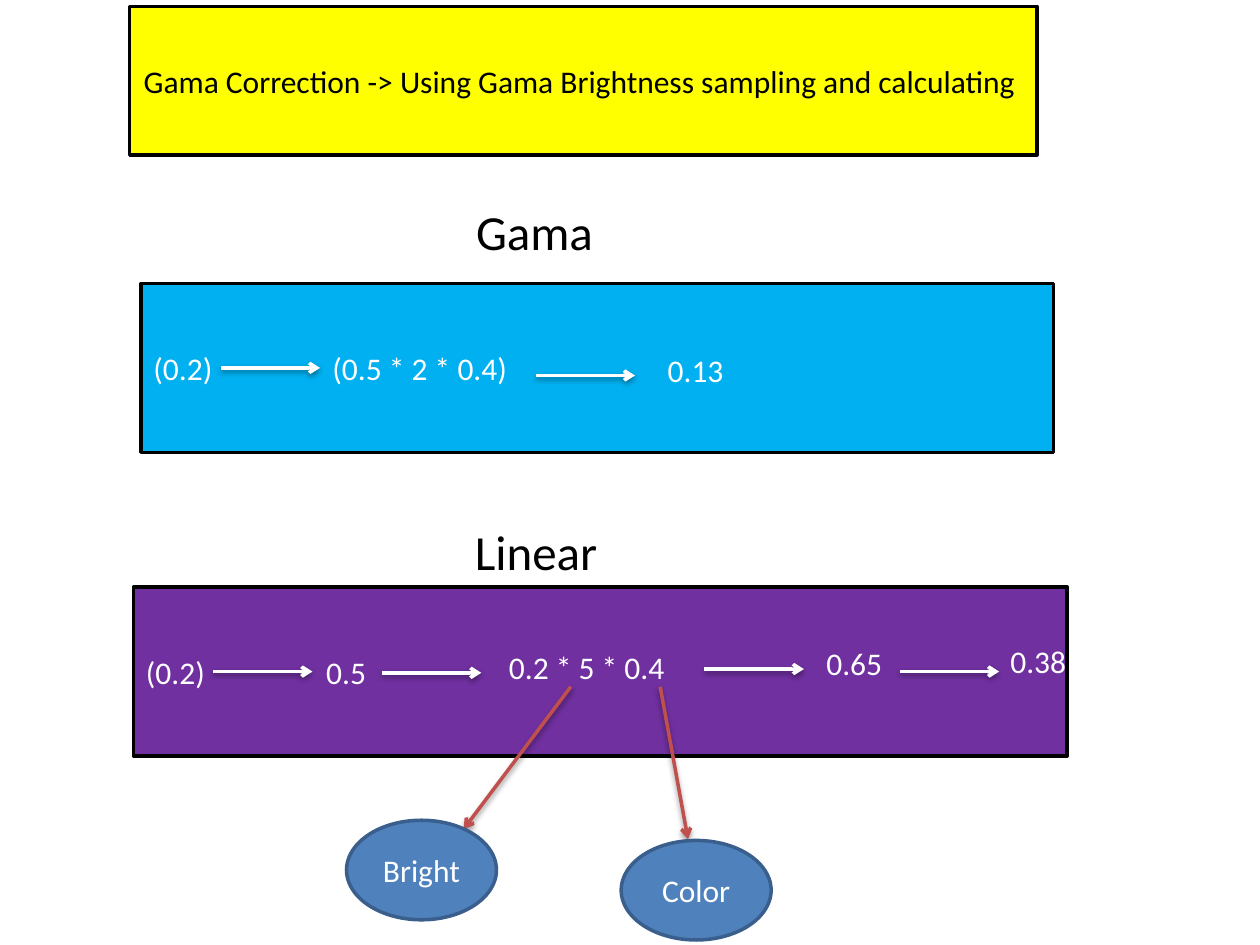
from lxml import etree
from pptx import Presentation
from pptx.dml.color import RGBColor
from pptx.enum.shapes import MSO_CONNECTOR, MSO_SHAPE
from pptx.enum.text import MSO_ANCHOR, MSO_AUTO_SIZE, PP_ALIGN
from pptx.oxml.ns import qn
from pptx.util import Inches, Pt

BLACK, WHITE = "000000", "FFFFFF"


def rgb(value):
    """Return the colour for a hex string."""
    return RGBColor.from_string(value)


def write(sp, text, size=18, color=WHITE, align=PP_ALIGN.LEFT):
    """Put one formatted line of text in a shape."""
    p = sp.text_frame.paragraphs[0]
    p.text = text
    p.alignment = align
    font = p.runs[0].font
    font.name, font.size = "Calibri", Pt(size)
    font.color.rgb = rgb(color)


def add_box(s, kind, box, fill, line):
    """Add a filled and outlined shape."""
    sp = s.shapes.add_shape(kind, *map(Inches, box))
    sp.shadow.inherit = False
    sp.fill.solid()
    sp.fill.fore_color.rgb = rgb(fill)
    sp.line.color.rgb = rgb(line)
    sp.line.width = Pt(2)
    sp.text_frame.vertical_anchor = MSO_ANCHOR.MIDDLE
    return sp


def fit_line(sp):
    """Let a shape hold a single unwrapped line from its top."""
    tf = sp.text_frame
    tf.word_wrap = False
    tf.auto_size = MSO_AUTO_SIZE.SHAPE_TO_FIT_TEXT
    tf.vertical_anchor = MSO_ANCHOR.TOP


def add_label(s, box, text, size=18, color=WHITE):
    """Add a one-line text box."""
    sp = s.shapes.add_textbox(*map(Inches, box))
    fit_line(sp)
    write(sp, text, size, color)


def add_arrow(s, x1, y1, x2, y2, color=WHITE):
    """Add an arrow with the theme's soft shadow."""
    ends = map(Inches, (x1, y1, x2, y2))
    line = s.shapes.add_connector(MSO_CONNECTOR.STRAIGHT, *ends).line
    line.color.rgb = rgb(color)
    line.width = Pt(2)
    ln = line._get_or_add_ln()
    etree.SubElement(ln, qn("a:tailEnd"), type="arrow")


def add_banner(s, box):
    """Add the yellow banner with the slide title in front of it."""
    x, y, w, h = box
    banner = add_box(s, MSO_SHAPE.FLOWCHART_PROCESS, box, "FFFF00", BLACK)
    title = s.shapes.title
    title.left, title.top = Inches(x + 0.01), Inches(y + 0.39)
    title.width, title.height = Inches(w), Inches(0.4)
    fit_line(title)
    write(title, "Gama Correction -> Using Gama Brightness sampling and calculating",
          color=BLACK)
    banner.element.addnext(title.element)


def add_pipeline(s, box, fill, heading, heading_box, steps):
    """Add a headed panel whose steps are arrows leading to values."""
    x, y, w, h = box
    add_label(s, heading_box, heading, 28, BLACK)
    write(add_box(s, MSO_SHAPE.RECTANGLE, box, fill, BLACK), "(0.2)")
    for arrow_x, arrow_y, text, text_x, text_y, text_w in steps:
        add_arrow(s, x + arrow_x, y + arrow_y, x + arrow_x + 0.79, y + arrow_y)
        add_label(s, (x + text_x, y + text_y, text_w, 0.4), text)


def add_factor(s, box, text, start, end):
    """Add an ellipse naming a factor and the arrow that leads to it."""
    add_arrow(s, *start, *end, "C0504D")
    sp = add_box(s, MSO_SHAPE.OVAL, box, "4F81BD", "3A5F8C")
    write(sp, text, align=PP_ALIGN.CENTER)


def main():
    """Build and save the slide."""
    prs = Presentation()
    prs.slide_width, prs.slide_height = Inches(10), Inches(7.5)
    s = prs.slides.add_slide(prs.slide_layouts[5])
    add_banner(s, (1.03, 0.05, 7.2, 1.18))
    add_pipeline(s, (1.12, 2.25, 7.24, 1.34), "00B0F0", "Gama", (3.68, 1.55, 1.14, 0.57), [
        (0.63, 0.67, "(0.5 * 2 * 0.4)", 1.42, 0.47, 1.61),
        (3.13, 0.73, "0.13", 4.08, 0.49, 0.65),
    ])
    add_pipeline(s, (1.06, 4.66, 7.41, 1.34), "7030A0", "Linear", (3.67, 4.09, 1.18, 0.57), [
        (0.63, 0.67, "0.5", 1.43, 0.47, 0.52),
        (1.97, 0.68, "0.2 * 5 * 0.4", 2.88, 0.43, 1.45),
        (4.53, 0.65, "0.65", 5.4, 0.4, 0.65),
        (6.08, 0.67, "0.38", 6.86, 0.39, 0.65),
    ])
    add_factor(s, (2.75, 6.51, 1.19, 0.79), "Bright", (4.53, 5.45), (3.68, 6.58))
    add_factor(s, (4.93, 6.67, 1.19, 0.79), "Color", (5.24, 5.45), (5.46, 6.66))
    prs.save("out.pptx")


if __name__ == "__main__":
    main()
